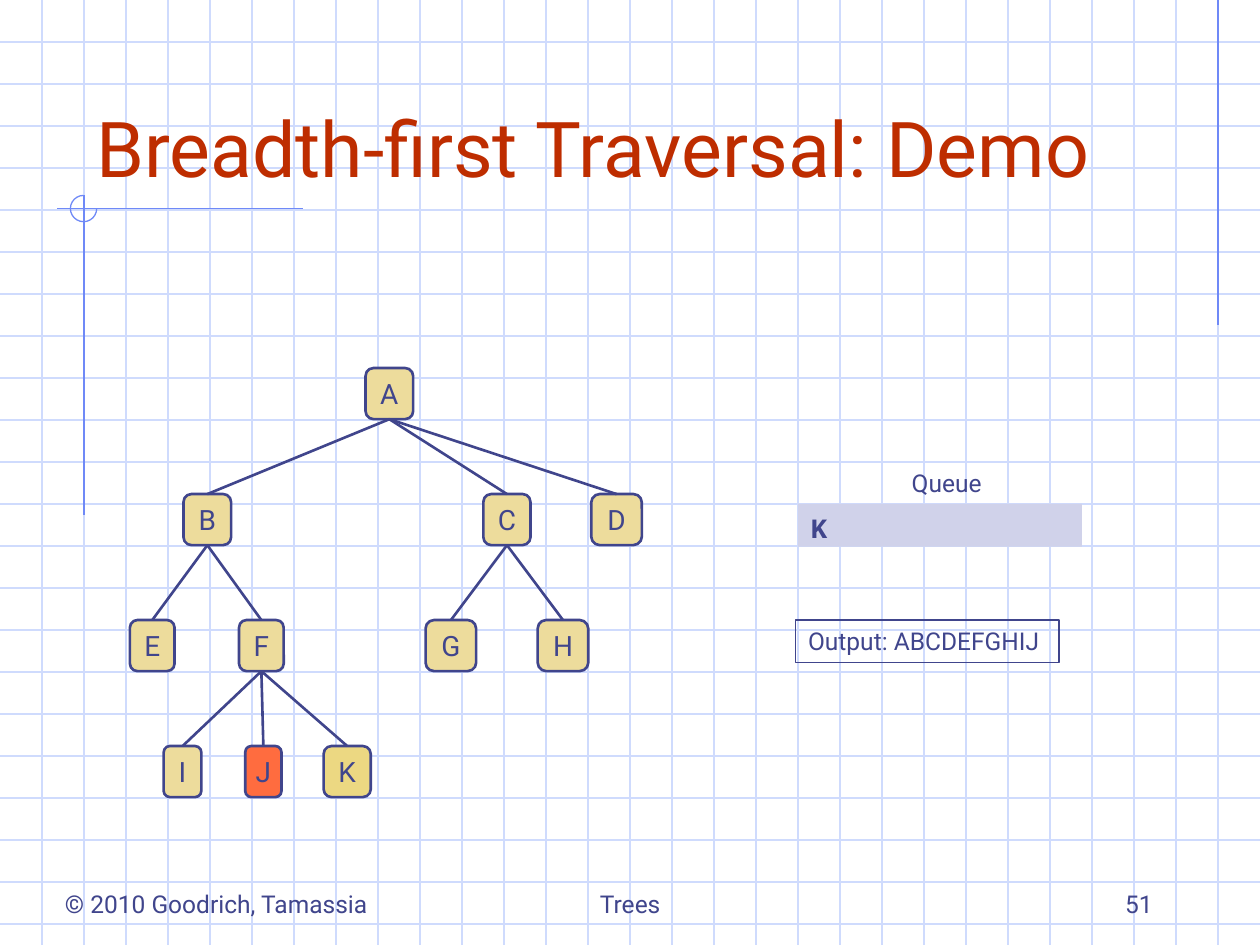
"""Build the breadth-first traversal demo slide."""
from lxml import etree
from pptx import Presentation, util as u
from pptx.dml import color
from pptx.enum import shapes, text
from pptx.oxml import ns

HUES = {"grid": "CFDBFD", "trim": "6F89F7", "title": "BE2D00", "ink": "40458C",
        "node": "EDDC9C", "next": "ECD882", "now": "FF6C3F", "queue": "D0D2EA"}
KIND = shapes.MSO_SHAPE
ALIGN = text.PP_ALIGN
ANCHOR = text.MSO_ANCHOR
WIDE, HIGH = 25.4, 19.05
STEP = WIDE / 30
TOP, GAP, TALL = 7.42, 2.54, 1.03
TREE = [
    [("A", 7.85, 0.96, "node")],
    [("B", 4.18, 0.96, "node"), ("C", 10.22, 0.95, "node"), ("D", 12.43, 1.02, "node")],
    [("E", 3.07, 0.9, "node"), ("F", 5.27, 0.9, "node"),
     ("G", 9.09, 1.02, "node"), ("H", 11.35, 1.02, "node")],
    [("I", 3.68, 0.76, "node"), ("J", 5.31, 0.73, "now"), ("K", 7, 0.95, "next")],
]
EDGES = {"A": "BCD", "B": "EF", "C": "GH", "F": "IJK"}


class Deck:
    """Hold the style and the current slide."""

    def __init__(self):
        self.prs = Presentation()
        self.prs.slide_width, self.prs.slide_height = u.Cm(WIDE), u.Cm(HIGH)
        self.slide = self.prs.slides.add_slide(self.prs.slide_layouts[6])
        self.font = {"name": "Roboto", "size": u.Pt(14), "bold": False}

    def paint(self, fill, hue):
        fill.solid()
        fill.fore_color.rgb = color.RGBColor.from_string(HUES[hue])

    def words(self, shape, words, hue="ink", anchor=ANCHOR.TOP, align=ALIGN.LEFT,
              wrap=True, **font):
        frame = shape.text_frame
        for key, val in {"word_wrap": wrap, "vertical_anchor": anchor}.items():
            setattr(frame, key, val)
        para = frame.paragraphs[0]
        para.alignment = align
        run = para.add_run()
        run.text = words
        for key, val in {**self.font, **font}.items():
            setattr(run.font, key, val)
        self.paint(run.font.fill, hue)

    def label(self, box, words, **style):
        self.words(self.slide.shapes.add_textbox(*map(u.Cm, box)), words, **style)

    def shape(self, kind, box, fill=None, line=None, width=0.75):
        item = self.slide.shapes.add_shape(kind, *map(u.Cm, box))
        item.shadow.inherit = False
        item.line.width = u.Pt(width)
        for part, hue in ((item.fill, fill), (item.line.fill, line)):
            if hue:
                self.paint(part, hue)
            else:
                part.background()
        return item

    def line(self, ends, hue, width=0.75):
        item = self.slide.shapes.add_connector(
            shapes.MSO_CONNECTOR.STRAIGHT, *map(u.Cm, ends))
        self.paint(item.line.fill, hue)
        item.line.width = u.Pt(width)
        etree.SubElement(item._element.spPr, ns.qn("a:effectLst"))
        return item

    def node(self, name, mid, row, width, fill):
        box = (mid - width / 2, TOP + row * GAP, width, TALL)
        item = self.shape(KIND.ROUNDED_RECTANGLE, box, fill, "ink", 1.5)
        self.words(item, name, anchor=ANCHOR.MIDDLE, align=ALIGN.CENTER,
                   wrap=False, size=u.Pt(16))
        return item

    def edge(self, start, end):
        item = self.line((0, 0, 0, 0), "ink", 1.5)
        item.begin_connect(start, 2)
        item.end_connect(end, 0)


def main():
    """Draw the slide and save it."""
    deck = Deck()
    for num in range(1, 23):
        deck.line((0, num * STEP, WIDE, num * STEP), "grid")
    for num in range(1, 30):
        deck.line((num * STEP, 0, num * STEP, HIGH), "grid")
    for ends in [(29 * STEP, 0, 29 * STEP, 6.55), (6.1, 4.21, 1.14, 4.21),
                 (2 * STEP, 3.94, 2 * STEP, 10.39)]:
        deck.line(ends, "trim")
    arc = deck.shape(KIND.ARC, (1.42, 3.94, 0.53, 0.53), line="trim")
    arc.adjustments[0], arc.adjustments[1] = 0, 162

    deck.label((1.69, 0.85, 21.59, 3.17), "Breadth-first Traversal: Demo",
               hue="title", anchor=ANCHOR.BOTTOM, size=u.Pt(44))
    for left, width, words, align in [
            (1.06, 6.99, "© 2010 Goodrich, Tamassia", ALIGN.LEFT),
            (8.68, 8.05, "Trees", ALIGN.CENTER), (18.2, 5.29, "51", ALIGN.RIGHT)]:
        deck.label((left, 17.36, width, 1.27), words, anchor=ANCHOR.BOTTOM, align=align)

    queue = deck.shape(KIND.RECTANGLE, (16.09, 10.16, 5.72, 0.86), "queue")
    deck.words(queue, "K", name="Courier New", size=u.Pt(16), bold=True)
    nodes = {name: deck.node(name, mid, row, width, fill)
             for row, level in enumerate(TREE) for name, mid, width, fill in level}
    for start, kids in EDGES.items():
        for kid in kids:
            deck.edge(nodes[start], nodes[kid])
    output = deck.shape(KIND.RECTANGLE, (16.04, 12.5, 5.31, 0.85), line="ink")
    deck.words(output, "Output: ABCDEFGHIJ")
    deck.label((18.13, 9.32, 2.09, 0.85), "Queue")
    deck.prs.save("out.pptx")


if __name__ == "__main__":
    main()
